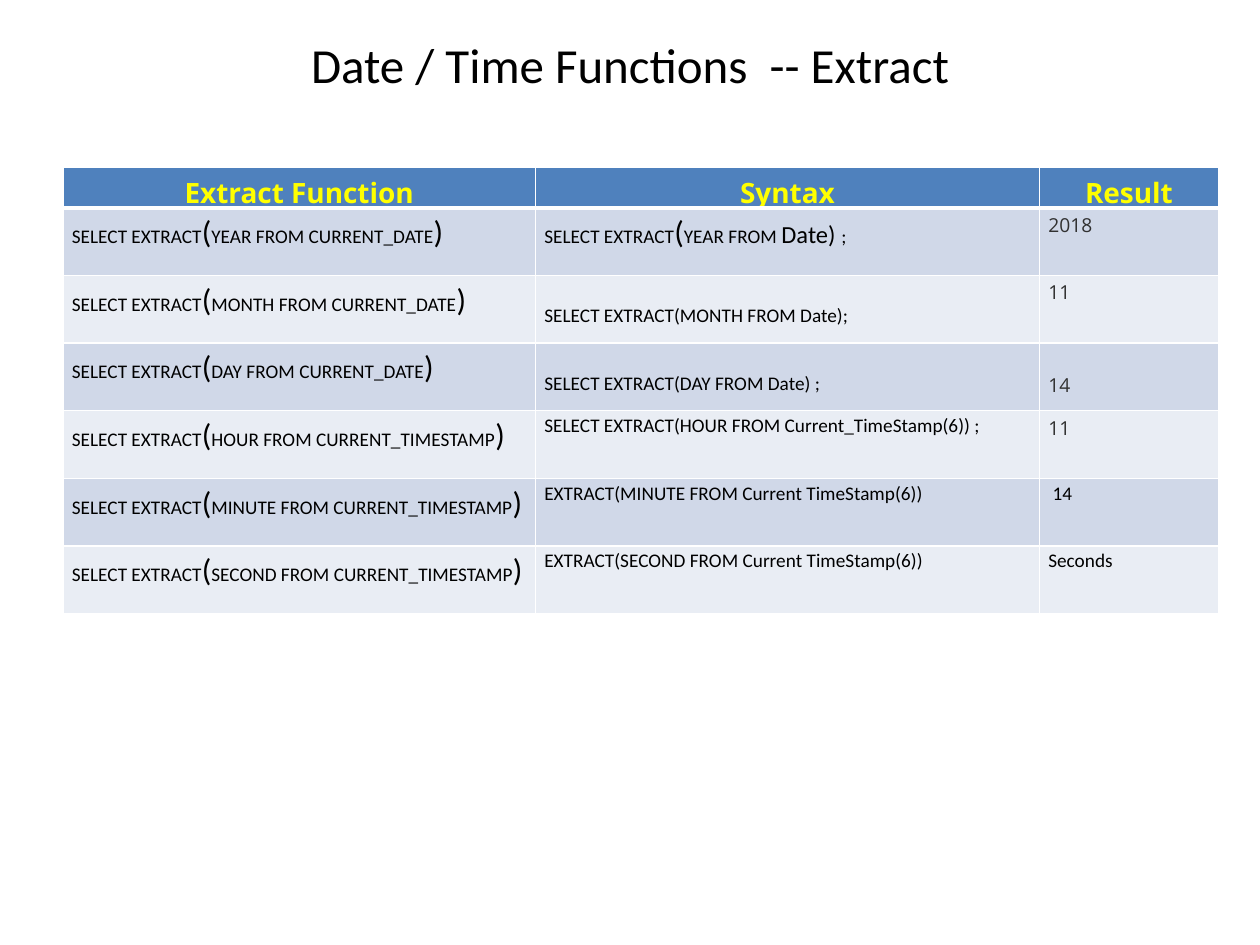
from lxml import etree
from pptx import Presentation
from pptx import util as u
from pptx.dml.color import RGBColor
from pptx.enum import text
from pptx.oxml import ns

BLACK = RGBColor(0, 0, 0)
WHITE = RGBColor(255, 255, 255)
YELLOW = RGBColor(255, 255, 0)
GREY = RGBColor(0x31, 0x31, 0x31)
HEADER_BLUE = RGBColor(0x4F, 0x81, 0xBD)
BANDS = (RGBColor(0xD0, 0xD8, 0xE8), RGBColor(0xE9, 0xED, 0xF4))

TITLE = dict(name="Calibri", size=u.Pt(28), bold=False, color=BLACK)
HEADING = dict(name="Open Sans", size=u.Pt(16), bold=True, color=YELLOW)
CODE = dict(name="Calibri", size=u.Pt(11), bold=False, color=BLACK)
MEDIUM = {**CODE, "size": u.Pt(14)}
PAREN = {**CODE, "size": u.Pt(18)}
RESULT = {**CODE, "name": "Open Sans", "color": GREY}

COLUMN_WIDTHS = (3.75, 4, 1.42)
HEADER_HEIGHT = 0.32
LOWERED = 0.2  # top gap of the cells whose text sits one line down
HEADINGS = ("Extract Function", "Syntax", "Result")
SELECT = "SELECT EXTRACT"

# field, source, syntax runs, syntax top gap, result, result style, result top gap
EXTRACTS = (
    ("YEAR", "CURRENT_DATE",
     [(SELECT, CODE), ("(", PAREN), ("YEAR FROM ", CODE), ("Date) ", MEDIUM), (";", CODE)], 0,
     "2018", RESULT, 0),
    ("MONTH", "CURRENT_DATE",
     [(SELECT + "(MONTH FROM Date); ", CODE)], LOWERED, "11", RESULT, 0),
    ("DAY", "CURRENT_DATE",
     [(SELECT + "(DAY FROM Date) ;", CODE)], LOWERED, "14", RESULT, LOWERED),
    ("HOUR", "CURRENT_TIMESTAMP",
     [(SELECT + "(HOUR FROM Current_TimeStamp(6)) ;", CODE)], 0, "11", RESULT, 0),
    ("MINUTE", "CURRENT_TIMESTAMP",
     [("EXTRACT(MINUTE FROM Current TimeStamp(6)) ", CODE)], 0, " 14", CODE, 0),
    ("SECOND", "CURRENT_TIMESTAMP",
     [("EXTRACT(SECOND FROM Current TimeStamp(6)) ", CODE)], 0, "Seconds", CODE, 0),
)


def write_runs(paragraph, runs):
    """Add (wording, style) runs to a paragraph."""
    for wording, style in runs:
        run = paragraph.add_run()
        run.text = wording
        for key, value in style.items():
            if key == "color":
                run.font.color.rgb = value
            else:
                setattr(run.font, key, value)


def add_borders(cell, bottom, top):
    """Give a cell white borders, with widths in points."""
    cell_format = cell._tc.get_or_add_tcPr()
    for side, width in (("L", 1), ("R", 1), ("T", top), ("B", bottom)):
        line = etree.SubElement(cell_format, ns.qn("a:ln" + side), w=str(u.Pt(width)))
        fill = etree.SubElement(line, ns.qn("a:solidFill"))
        etree.SubElement(fill, ns.qn("a:srgbClr"), val=str(WHITE))


def fill_cell(cell, runs, color, gap=0, align=text.PP_ALIGN.LEFT, bottom=1, top=1):
    """Write and format one table cell."""
    margins = dict(margin_left=0.07, margin_right=0.07, margin_top=gap, margin_bottom=0)
    for key, value in margins.items():
        setattr(cell, key, u.Inches(value))
    add_borders(cell, bottom, top)
    cell.fill.solid()
    cell.fill.fore_color.rgb = color
    paragraph = cell.text_frame.paragraphs[0]
    paragraph.alignment = align
    paragraph.line_spacing = 1.15
    write_runs(paragraph, runs)


def add_title(slide, left, top, width, height):
    """Place the centred slide title in its box."""
    frame = slide.shapes.add_textbox(*map(u.Inches, (left, top, width, height))).text_frame
    frame.word_wrap = True
    frame.vertical_anchor = text.MSO_ANCHOR.MIDDLE
    frame.paragraphs[0].alignment = text.PP_ALIGN.CENTER
    write_runs(frame.paragraphs[0], [("Date / Time Functions  -- Extract", TITLE)])


def add_extract_table(slide, left, top, width, height):
    """Place the table of extract functions in its box."""
    table = slide.shapes.add_table(len(EXTRACTS) + 1, len(HEADINGS),
                                   *map(u.Inches, (left, top, width, height))).table
    for column, share in zip(table.columns, COLUMN_WIDTHS):
        column.width = u.Inches(width * share / sum(COLUMN_WIDTHS))
    body_height = (height - HEADER_HEIGHT) / len(EXTRACTS)
    for index, row in enumerate(table.rows):
        row.height = u.Inches(body_height if index else HEADER_HEIGHT)

    for index, heading in enumerate(HEADINGS):
        fill_cell(table.cell(0, index), [(heading, HEADING)], HEADER_BLUE,
                  align=text.PP_ALIGN.CENTER, bottom=3)
    for index, extract in enumerate(EXTRACTS):
        field, source, syntax, syntax_gap, result, result_style, result_gap = extract
        function = [(SELECT, CODE), ("(", PAREN), (f"{field} FROM {source}", CODE), (")", PAREN)]
        cells = ((function, 0), (syntax, syntax_gap), ([(result, result_style)], result_gap))
        for column, (runs, gap) in enumerate(cells):
            fill_cell(table.cell(index + 1, column), runs, BANDS[index % 2], gap,
                      top=1 if index else 3)


def main():
    """Build and save the slide."""
    deck = Presentation()
    deck.slide_width, deck.slide_height = u.Inches(10), u.Inches(7.5)
    slide = deck.slides.add_slide(deck.slide_layouts[6])
    add_title(slide, 0.5, 0.17, 9, 0.67)
    add_extract_table(slide, 0.5, 1.33, 9.17, 3.54)
    deck.save("out.pptx")


main()
